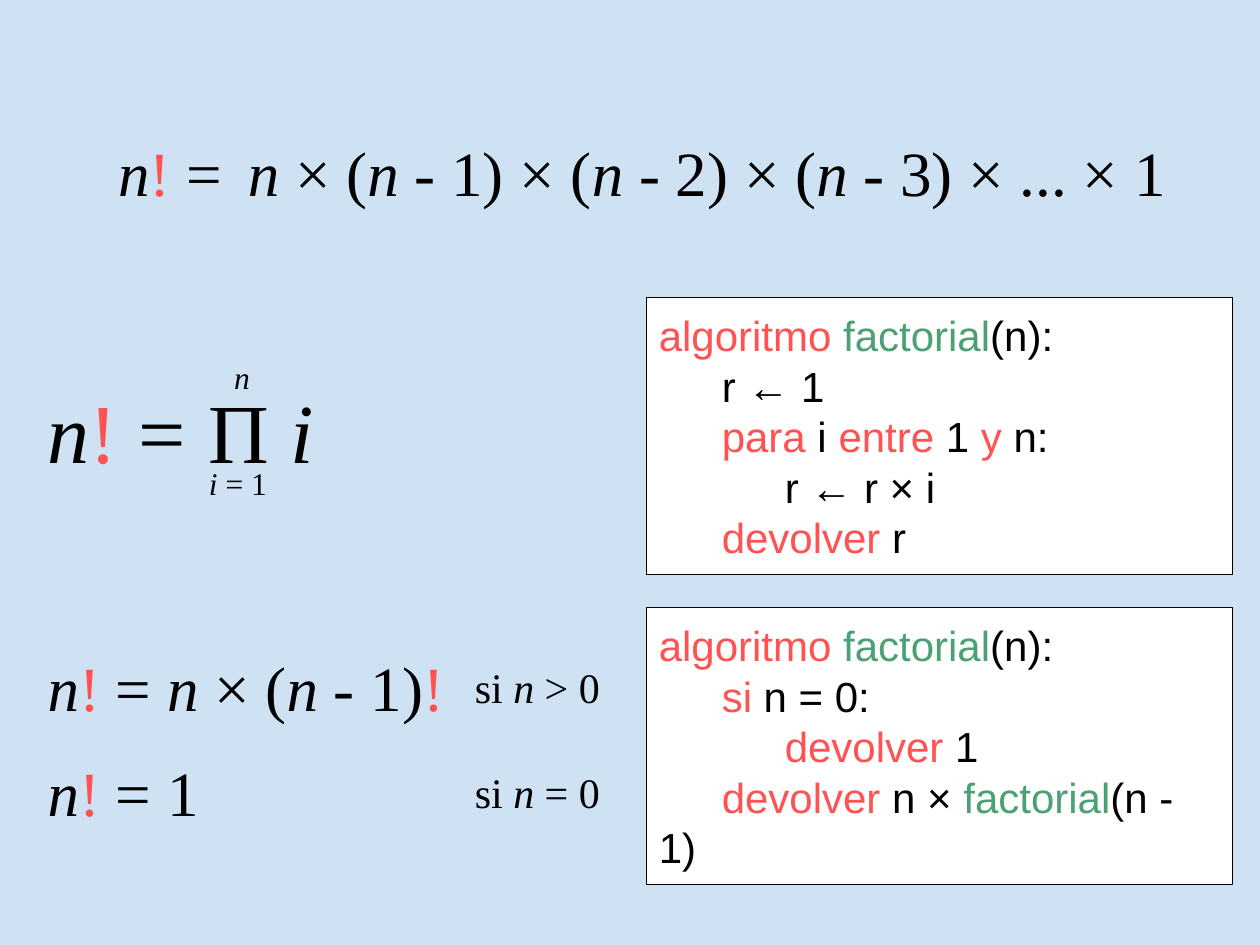
from lxml import etree
from pptx import Presentation
from pptx.dml.color import RGBColor
from pptx.enum.shapes import MSO_SHAPE
from pptx.enum.text import MSO_ANCHOR, PP_ALIGN
from pptx.oxml.ns import qn
from pptx.util import Pt

RECTANGLE = MSO_SHAPE.RECTANGLE
TOP, MIDDLE = MSO_ANCHOR.TOP, MSO_ANCHOR.MIDDLE
LEFT = PP_ALIGN.LEFT

SKY = RGBColor(0xCF, 0xE2, 0xF3)
WHITE = RGBColor(0xFF, 0xFF, 0xFF)
BLACK = RGBColor(0x00, 0x00, 0x00)
RED = RGBColor(0xFF, 0x52, 0x52)
GREEN = RGBColor(0x4B, 0xA1, 0x73)

SERIF, SANS = "Times New Roman", "Arial"
INSET = 7.2
LINE_HEIGHT = 1.2
TAB = 72
BLANK_LAYOUT = 6

# Kinds of span: (colour, italic)
PLAIN, VARIABLE = (BLACK, False), (BLACK, True)
KEYWORD, FUNCTION = (RED, False), (GREEN, False)

N = ("n", VARIABLE)
BANG = ("!", KEYWORD)
HEADER = [("algoritmo ", KEYWORD), ("factorial", FUNCTION), ("(n):", PLAIN)]


def set_values(target, values):
    for name, value in values.items():
        setattr(target, name, value)


def format_frame(frame, anchor):
    set_values(frame, {
        "word_wrap": True, "vertical_anchor": anchor,
        "margin_left": Pt(INSET), "margin_right": Pt(INSET),
        "margin_top": Pt(INSET), "margin_bottom": Pt(INSET),
    })


def write_line(para, spans, size, font):
    set_values(para, {"alignment": LEFT, "line_spacing": Pt(size * LINE_HEIGHT)})
    for text, (color, italic) in spans:
        span = para.add_run()
        span.text = text
        set_values(span.font, {"name": font, "size": Pt(size), "italic": italic})
        span.font.color.rgb = color


def add_formula(shapes, place, size, spans):
    """Add one line of mathematics; place is left, top, width, height."""
    box = shapes.add_textbox(*map(Pt, place))
    format_frame(box.text_frame, TOP)
    write_line(box.text_frame.paragraphs[0], spans, size, SERIF)


def indent_line(para, margin, first):
    properties = para._p.get_or_add_pPr()
    properties.set("marL", str(Pt(margin)))
    properties.set("indent", str(Pt(first)))
    tabs = etree.SubElement(properties, qn("a:tabLst"))
    etree.SubElement(tabs, qn("a:tab"), pos=str(Pt(TAB)), algn="l")


def add_algorithm(shapes, top, lines):
    """Add a framed algorithm; each line is margin, first indent, spans."""
    box = shapes.add_shape(RECTANGLE, Pt(369.36), Pt(top), Pt(334.8), Pt(158.4))
    box.shadow.inherit = False
    box.fill.solid()
    box.fill.fore_color.rgb = WHITE
    box.line.color.rgb = BLACK
    box.line.width = Pt(0.75)
    frame = box.text_frame
    format_frame(frame, MIDDLE)
    for index, (margin, first, spans) in enumerate(lines):
        para = frame.add_paragraph() if index else frame.paragraphs[0]
        indent_line(para, margin, first)
        write_line(para, spans, 24, SANS)


def add_recursive_case(shapes, top, spans, condition):
    add_formula(shapes, (20.16, top, 260.64, 64.8), 36, [N, BANG] + spans)
    add_formula(shapes, (264.24, top + 7.2, 95.76, 64.8), 24,
                [("si ", PLAIN), N, (condition, PLAIN)])


def add_product(shapes):
    group = shapes.add_group_shape().shapes
    index = ("i", VARIABLE)
    add_formula(group, (20.16, 209.52, 110.88, 75.6), 48, [N, BANG, (" =", PLAIN)])
    add_formula(group, (112.32, 209.52, 79.92, 75.6), 48, [("Π ", PLAIN), index])
    add_formula(group, (112.32, 257.76, 49.68, 33.84), 18, [index, (" = 1", PLAIN)])
    add_formula(group, (126.72, 197.28, 30.96, 33.84), 18, [N])


def main():
    deck = Presentation()
    deck.slide_width, deck.slide_height = Pt(720), Pt(540)
    page = deck.slides.add_slide(deck.slide_layouts[BLANK_LAYOUT])
    page.background.fill.solid()
    page.background.fill.fore_color.rgb = SKY
    shapes = page.shapes

    # Recursive definition
    add_recursive_case(shapes, 363.6, [
        (" = ", PLAIN), N, (" × (", PLAIN), N, (" - 1)", PLAIN), BANG], " > 0")
    add_recursive_case(shapes, 423.36, [(" = 1", PLAIN)], " = 0")

    # Expanded definition
    add_formula(shapes, (60.48, 69.12, 110.88, 75.6), 36, [N, BANG, (" =", PLAIN)])
    add_formula(shapes, (134.64, 69.12, 557.28, 75.6), 36, [
        N, (" × (", PLAIN), N, (" - 1) × (", PLAIN), N, (" - 2) × (", PLAIN),
        N, (" - 3) × ... × 1", PLAIN)])

    # Product definition
    add_product(shapes)

    # Iterative algorithm
    add_algorithm(shapes, 169.92, [
        (0, 0, HEADER),
        (0, 0, [("\tr ← 1", PLAIN)]),
        (0, 0, [("\t", PLAIN), ("para", KEYWORD), (" i ", PLAIN),
                ("entre", KEYWORD), (" 1 ", PLAIN), ("y", KEYWORD),
                (" n:", PLAIN)]),
        (72, 0, [("r ← r × i", PLAIN)]),
        (0, 36, [("devolver", KEYWORD), (" r", PLAIN)]),
    ])

    # Recursive algorithm
    add_algorithm(shapes, 347.04, [
        (0, 0, HEADER),
        (0, 0, [("\t", PLAIN), ("si", KEYWORD), (" n = 0:", PLAIN)]),
        (72, 0, [("devolver", KEYWORD), (" 1", PLAIN)]),
        (0, 36, [("devolver", KEYWORD), (" n × ", PLAIN),
                 ("factorial", FUNCTION), ("(n - 1)", PLAIN)]),
    ])

    deck.save("out.pptx")


if __name__ == "__main__":
    main()
